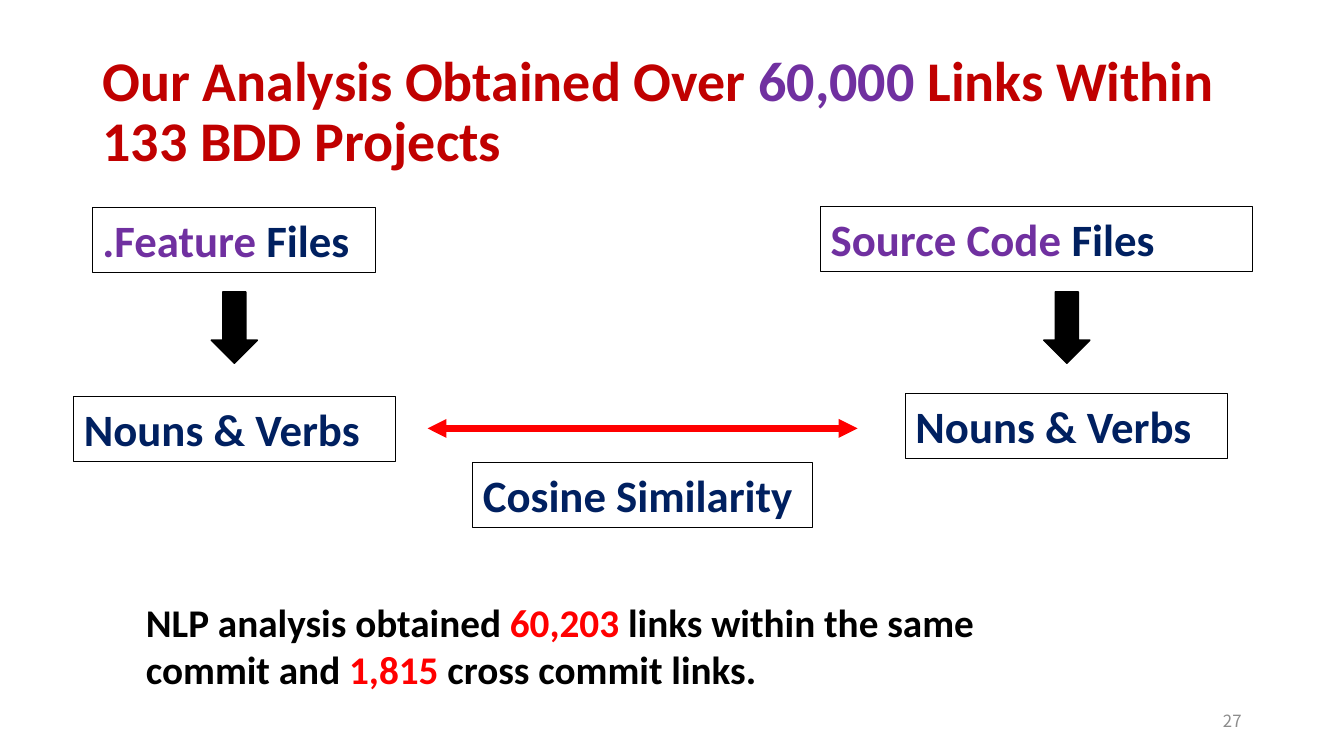
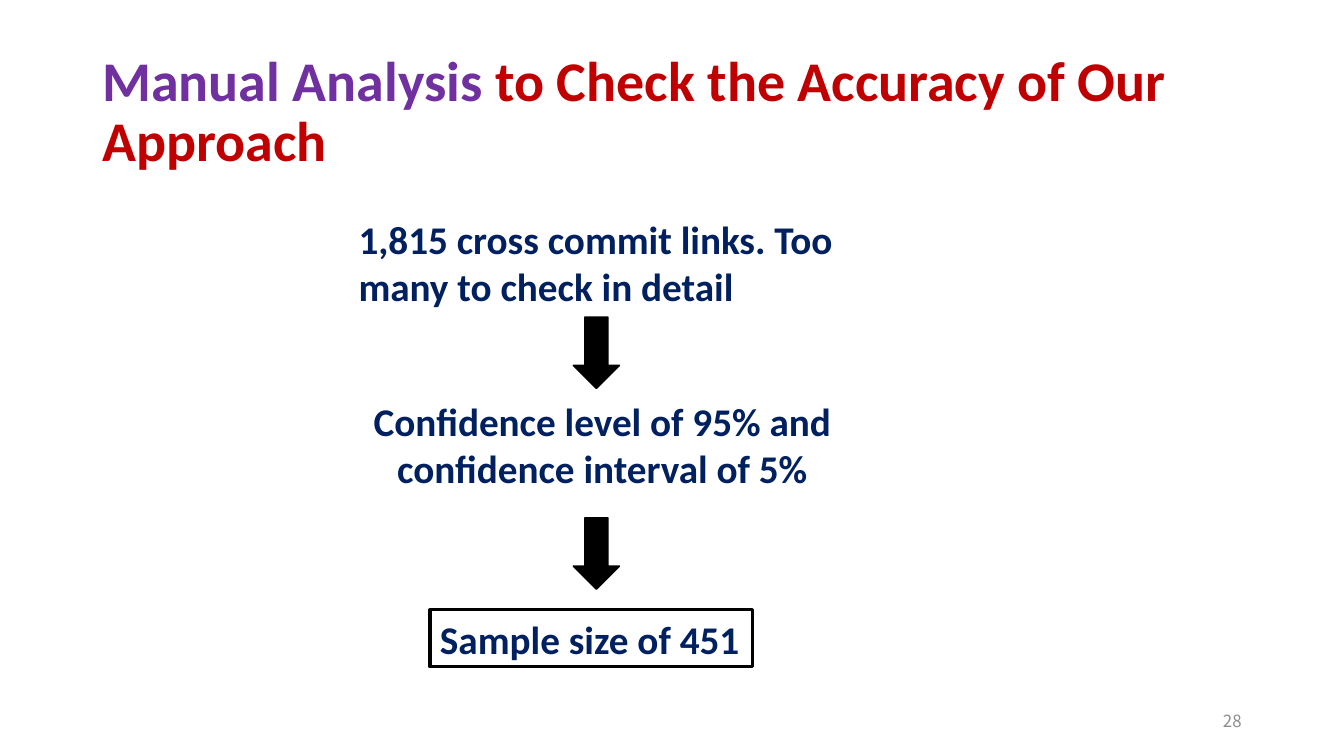
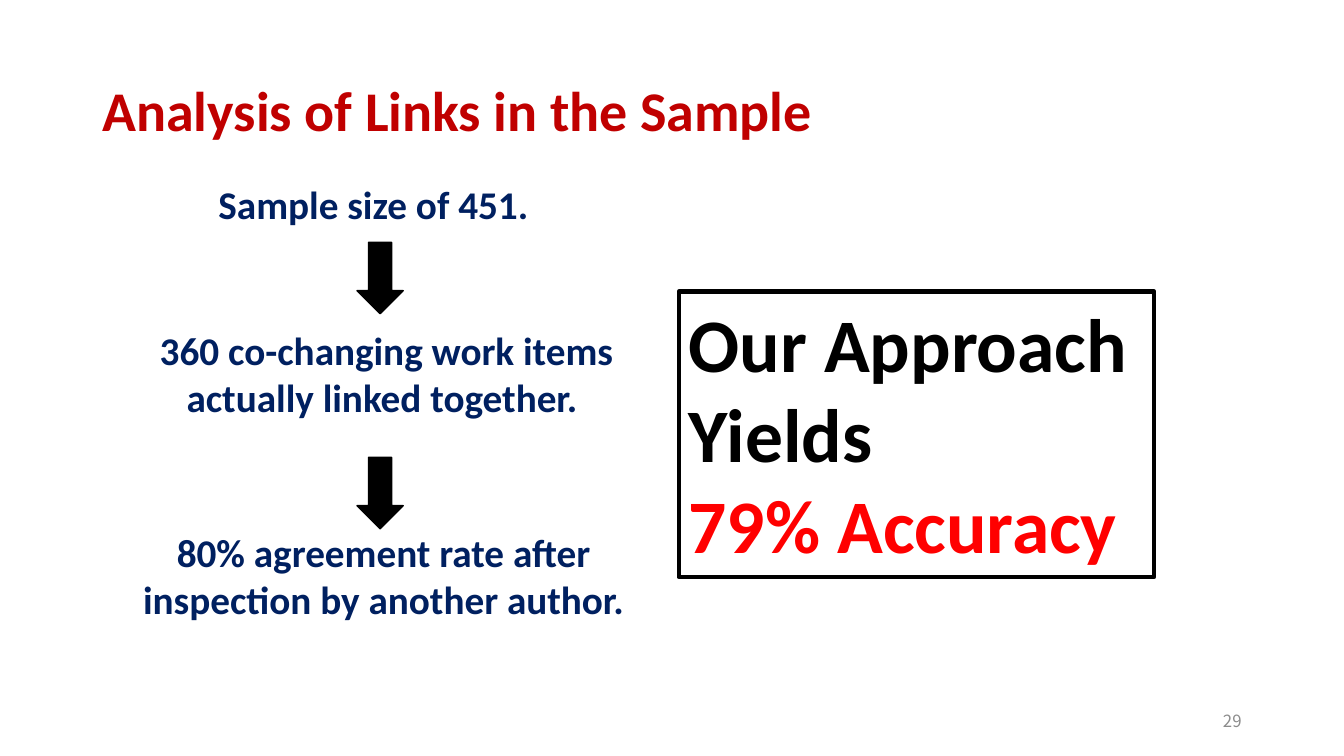
from pptx import Presentation
from pptx.dml.color import RGBColor
from pptx.enum.shapes import MSO_CONNECTOR, MSO_SHAPE
from pptx.enum.text import MSO_ANCHOR as ANCHOR, MSO_AUTO_SIZE as AUTO, PP_ALIGN as ALIGN
from pptx.oxml.ns import qn
from pptx.util import Inches, Pt
from lxml.etree import SubElement

COLORS = {
    "title": "C00000",
    "accent": "7030A0",
    "body": "002060",
    "black": "000000",
    "red": "FF0000",
    "number": "8C8C8C",
}
FONT = "Calibri"
NUMBER_FONT = "Noto Sans CJK SC"
SLIDE_W, SLIDE_H = Inches(13.33), Inches(7.5)
COLS, ROWS = 160, 90
LABEL_H, LINE_H, PAIR_H = 7.7, 6.8, 12.5
ARROW_W, ARROW_H = 5.5, 8.5


def col(n):
    return round(SLIDE_W * n / COLS)


def row(n):
    return round(SLIDE_H * n / ROWS)


def rgb(name):
    return RGBColor.from_string(COLORS[name])


def add_text(slide, paragraphs, x, y, w, h, size=28, color="body", bold=True,
             font=FONT, align=ALIGN.LEFT, anchor=ANCHOR.TOP, spacing=None,
             border=None, grow=True):
    area = col(x), row(y), col(w), row(h)
    if border:
        sp = slide.shapes.add_shape(MSO_SHAPE.RECTANGLE, *area)
        sp.shadow.inherit = False
        sp.fill.background()
        sp.line.color.rgb = rgb("black")
        sp.line.width = Pt(border)
    else:
        sp = slide.shapes.add_textbox(*area)
    tf = sp.text_frame
    tf.word_wrap = True
    tf.auto_size = AUTO.SHAPE_TO_FIT_TEXT if grow else AUTO.NONE
    tf.vertical_anchor = anchor
    for i, runs in enumerate(paragraphs):
        p = tf.add_paragraph() if i else tf.paragraphs[0]
        p.alignment = align
        if spacing:
            p.line_spacing = spacing
        for run in runs:
            text, run_color = (run, color) if isinstance(run, str) else run
            r = p.add_run()
            r.text = text
            r.font.name = font
            r.font.size = Pt(size)
            r.font.bold = bold
            r.font.color.rgb = rgb(run_color)


def add_label(slide, runs, x, y, w):
    add_text(slide, [runs], x, y, w, LABEL_H, size=32, border=0.75)


def add_step(slide, text, x, y, w, h=PAIR_H, align=ALIGN.CENTER):
    add_text(slide, [[text]], x, y, w, h, align=align)


def add_down_arrow(slide, center_x, center_y):
    sp = slide.shapes.add_shape(
        MSO_SHAPE.DOWN_ARROW, col(center_x - ARROW_W / 2),
        row(center_y - ARROW_H / 2), col(ARROW_W), row(ARROW_H))
    sp.shadow.inherit = False
    sp.fill.solid()
    sp.fill.fore_color.rgb = rgb("black")
    sp.line.color.rgb = rgb("black")
    sp.line.width = Pt(1)


def add_double_arrow(slide, x1, x2, y):
    line = slide.shapes.add_connector(
        MSO_CONNECTOR.STRAIGHT, col(x1), row(y), col(x2), row(y))
    line.line.color.rgb = rgb("red")
    line.line.width = Pt(4.5)
    ln = line.line._get_or_add_ln()
    for end in ("a:headEnd", "a:tailEnd"):
        SubElement(ln, qn(end), type="triangle")
    SubElement(line._element.spPr, qn("a:effectLst"))


def add_slide(prs, number, title):
    slide = prs.slides.add_slide(prs.slide_layouts[6])
    add_text(slide, [title], 11, 4.8, 138, 17.4, size=40, color="title",
             anchor=ANCHOR.MIDDLE, spacing=0.9, grow=False)
    add_text(slide, [[str(number)]], 113, 83.4, 36, 4.8, size=12, color="number",
             bold=False, font=NUMBER_FONT, align=ALIGN.RIGHT,
             anchor=ANCHOR.MIDDLE, grow=False)
    return slide


def build_links(prs):
    s = add_slide(prs, 27, ["Our Analysis Obtained Over ", ("60,000 ", "accent"),
                            "Links Within 133 BDD Projects"])
    add_label(s, [(".Feature ", "accent"), "Files"], 11, 24.7, 33.7)
    add_label(s, [("Source Code ", "accent"), "Files"], 97.7, 24.6, 51.4)
    add_label(s, ["Cosine Similarity"], 56.3, 55.1, 40.4)
    for label_x, label_y, arrow_x in ((8.8, 47.2, 27.9), (107.8, 46.9, 127)):
        add_down_arrow(s, arrow_x, 39)
        add_label(s, ["Nouns & Verbs"], label_x, label_y, 38.3)
    add_double_arrow(s, 50.9, 102.1, 51)
    add_text(s, [["NLP analysis obtained ", ("60,203", "red"),
                  " links within the same commit and ", ("1,815", "red"),
                  " cross commit links."]],
             16.2, 70.6, 110, PAIR_H, color="black")


def build_manual_check(prs):
    s = add_slide(prs, 28, [("Manual Analysis ", "accent"),
                            "to Check the Accuracy of Our Approach"])
    add_step(s, "1,815 cross commit links. Too many to check in detail",
             41.5, 25, 61.6, align=ALIGN.LEFT)
    add_step(s, "Conﬁdence level of 95% and conﬁdence interval of 5%",
             40.9, 46.7, 61.6)
    for y in (42, 65.9):
        add_down_arrow(s, 71, y)
    add_text(s, [["Sample size of 451"]], 51.2, 72.6, 38.4, LINE_H, border=2.25)


def build_sample(prs):
    s = add_slide(prs, 29, ["Analysis of Links in the Sample"])
    add_step(s, "Sample size of 451.", 1.9, 20.9, 85.1, LINE_H)
    add_step(s, "360 co-changing work items actually linked together. ", 12, 38.3, 68)
    add_step(s, "80% agreement rate after inspection by another author.",
             14.2, 62.3, 62.9)
    for y in (33.1, 58.7):
        add_down_arrow(s, 45.25, y)
    add_text(s, [["Our Approach Yields"], [("79% Accuracy", "red")]],
             80.8, 34.7, 56.6, 34, size=54, color="black", border=3)


def main():
    prs = Presentation()
    prs.slide_width, prs.slide_height = SLIDE_W, SLIDE_H
    for build in (build_links, build_manual_check, build_sample):
        build(prs)
    prs.save("out.pptx")


if __name__ == "__main__":
    main()
